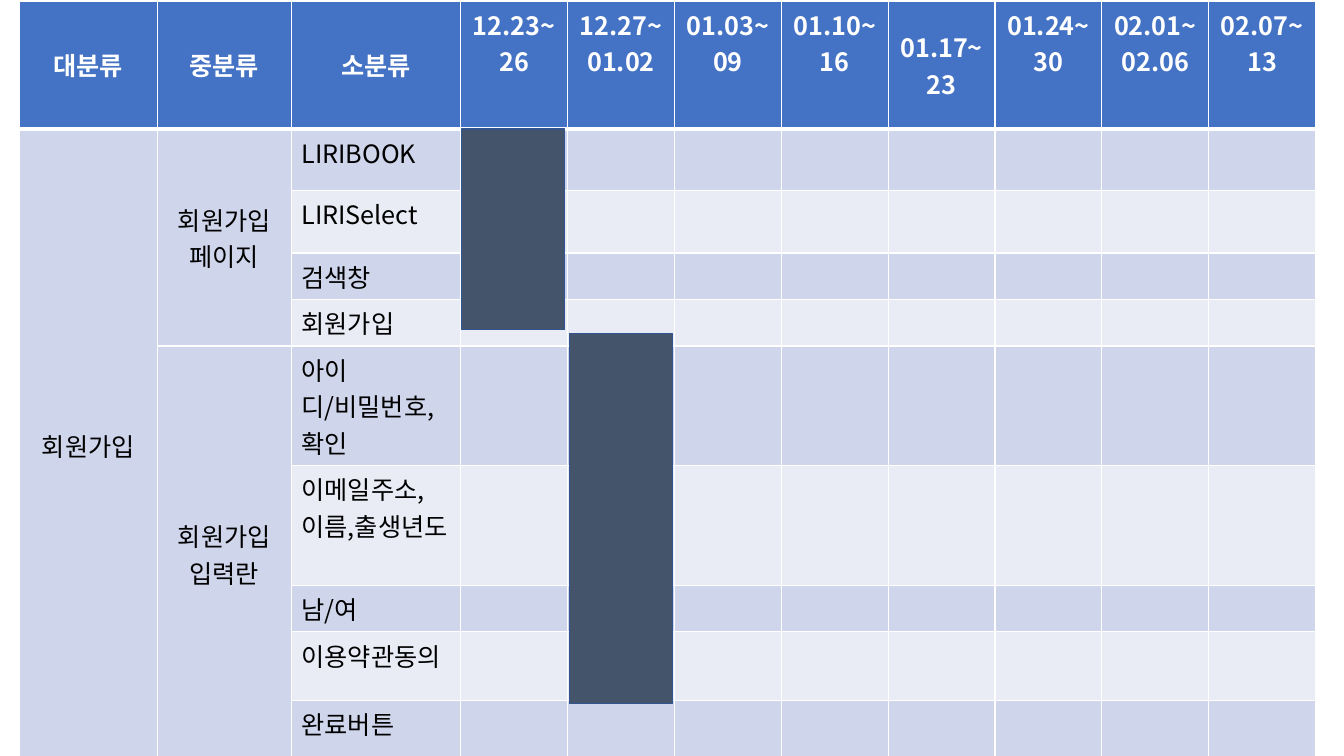
from dataclasses import dataclass

import lxml.etree
import pptx
import pptx.dml.color
import pptx.enum.shapes
import pptx.enum.text
import pptx.oxml.ns
import pptx.util

Inches = pptx.util.Inches
Pt = pptx.util.Pt
qn = pptx.oxml.ns.qn
ALIGN = pptx.enum.text.PP_ALIGN
ANCHOR = pptx.enum.text.MSO_ANCHOR

FONT = "Noto Sans CJK KR"
WHITE, BLACK = "FFFFFF", "000000"
HEADER_FILL = "4472C4"
BANDS = ("CFD5EA", "E9EBF5")
BAR_FILL, BAR_LINE = "44546A", "325491"

CATEGORY_WIDTHS = (1.37, 1.33, 1.68)
WEEK_WIDTH = 1.06
ROW_HEIGHTS = (1.27, 0.61, 0.62, 0.38, 0.33, 0.97, 0.97, 0.39, 0.68, 0.61)

CATEGORIES = ("대분류", "중분류", "소분류")
WEEKS = ("12.23~26", "12.27~01.02", "01.03~09", "01.10~16",
         "01.17~23", "01.24~30", "02.01~02.06", "02.07~13")
MIDDLE_WEEK = "01.17~23"
TASKS = ("LIRIBOOK", "LIRISelect", "검색창", "회원가입", "아이디/비밀번호,확인",
         "이메일주소,이름,출생년도", "남/여", "이용약관동의", "완료버튼")


@dataclass(frozen=True)
class Group:
    name: str
    column: int
    first_row: int
    last_row: int
    has_margins: bool = True


@dataclass(frozen=True)
class Period:
    left: float
    top: float
    height: float
    width: float = 1.02


GROUPS = (
    Group("회원가입", 0, 1, 9),
    Group("회원가입 페이지", 1, 1, 4),
    Group("회원가입 입력란", 1, 5, 9, has_margins=False),
)
PERIODS = (Period(4.58, 1.28, 1.99), Period(5.65, 3.31, 3.67))


def color(value: str) -> pptx.dml.color.RGBColor:
    return pptx.dml.color.RGBColor.from_string(value)


def paint(target, value: str) -> None:
    target.fill.solid()
    target.fill.fore_color.rgb = color(value)


def add_borders(cell, top: float, bottom: float) -> None:
    properties = cell._tc.get_or_add_tcPr()
    for side, points in (("L", 1), ("R", 1), ("T", top), ("B", bottom)):
        line = lxml.etree.SubElement(properties, qn(f"a:ln{side}"), w=str(Pt(points)))
        fill = lxml.etree.SubElement(line, qn("a:solidFill"))
        lxml.etree.SubElement(fill, qn("a:srgbClr"), val=WHITE)


def write(cell, text: str, font_color: str = BLACK, bold: bool = False,
          align=ALIGN.LEFT, anchor=ANCHOR.TOP) -> None:
    cell.text_frame.text = text
    cell.vertical_anchor = anchor
    paragraph = cell.text_frame.paragraphs[0]
    paragraph.alignment = align
    font = paragraph.runs[0].font
    font.name, font.size, font.bold = FONT, Pt(18), bold
    font.color.rgb = color(font_color)
    east_asian = lxml.etree.Element(qn("a:ea"), typeface=FONT)
    font._element.find(qn("a:latin")).addnext(east_asian)


def add_schedule(slide):
    widths = CATEGORY_WIDTHS + (WEEK_WIDTH,) * len(WEEKS)
    schedule = slide.shapes.add_table(
        len(ROW_HEIGHTS), len(widths), Inches(0.19), Inches(0.01),
        Inches(sum(widths)), Inches(sum(ROW_HEIGHTS))).table
    for column, width in zip(schedule.columns, widths):
        column.width = Inches(width)
    for row, height in zip(schedule.rows, ROW_HEIGHTS):
        row.height = Inches(height)

    # Borders and bands
    for index, row in enumerate(schedule.rows):
        for column, cell in enumerate(row.cells):
            add_borders(cell, 3 if index == 1 else 1, 3 if index == 0 else 1)
            band = BANDS[0] if column < 2 else BANDS[(index - 1) % 2]
            paint(cell, HEADER_FILL if index == 0 else band)
    return schedule


def fill_schedule(schedule) -> None:
    # Header
    for column, heading in enumerate(CATEGORIES + WEEKS):
        is_middle = heading in CATEGORIES or heading == MIDDLE_WEEK
        write(schedule.cell(0, column), heading, WHITE, True, ALIGN.CENTER,
              ANCHOR.MIDDLE if is_middle else ANCHOR.TOP)

    # Merged groups
    for group in GROUPS:
        cell = schedule.cell(group.first_row, group.column)
        cell.merge(schedule.cell(group.last_row, group.column))
        write(cell, group.name, align=ALIGN.CENTER, anchor=ANCHOR.MIDDLE)
        if not group.has_margins:
            cell.margin_left = cell.margin_right = 0
            cell.margin_top = cell.margin_bottom = 0

    # Tasks
    for index, task in enumerate(TASKS, start=1):
        write(schedule.cell(index, 2), task)


def add_period(slide, period: Period) -> None:
    bar = slide.shapes.add_shape(
        pptx.enum.shapes.MSO_SHAPE.RECTANGLE, Inches(period.left), Inches(period.top),
        Inches(period.width), Inches(period.height))
    bar.shadow.inherit = False
    paint(bar, BAR_FILL)
    bar.line.color.rgb = color(BAR_LINE)
    bar.line.width = Pt(1)


def main() -> None:
    presentation = pptx.Presentation()
    presentation.slide_width = Inches(13.33)
    presentation.slide_height = Inches(7.5)
    slide = presentation.slides.add_slide(presentation.slide_layouts[6])

    fill_schedule(add_schedule(slide))
    for period in PERIODS:
        add_period(slide, period)

    presentation.save("out.pptx")


if __name__ == "__main__":
    main()
